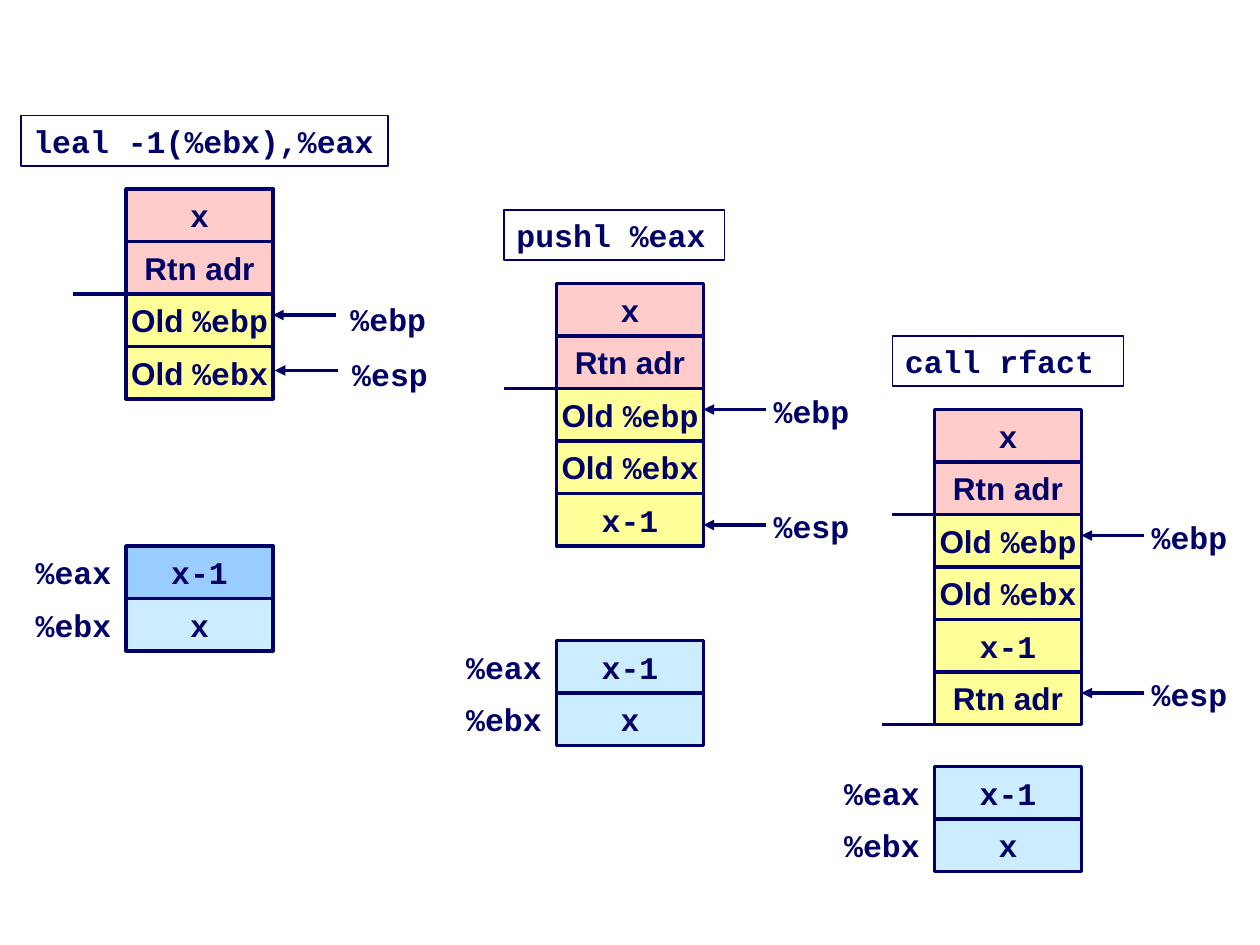
from lxml.etree import SubElement as Sub
from pptx import Presentation
from pptx.dml.color import RGBColor as Rgb
from pptx.enum.shapes import MSO_CONNECTOR as Link, MSO_SHAPE as Form
from pptx.enum.text import MSO_ANCHOR as Anchor, MSO_AUTO_SIZE as Fit, PP_ALIGN as Align
from pptx.oxml.ns import qn
from pptx.util import Pt

NAVY = Rgb(0x00, 0x00, 0x66)
PINK = Rgb(0xFF, 0xCC, 0xCC)
GOLD = Rgb(0xFF, 0xFF, 0x99)
PALE = Rgb(0xCC, 0xEC, 0xFF)
BLUE = Rgb(0x99, 0xCC, 0xFF)
WHITE = Rgb(0xFF, 0xFF, 0xFF)
SANS, MONO = "Arial", "Courier New"
CELL_W, ROW_H, CODE_H = 84, 30, 28.8

ARG = [("x", MONO)]
LESS = [("x-1", MONO)]
RTN = [("Rtn adr", SANS)]
OLD_EBP = [("Old ", SANS), ("%ebp", MONO)]
OLD_EBX = [("Old ", SANS), ("%ebx", MONO)]
BASE = [(ARG, PINK), (RTN, PINK), (OLD_EBP, GOLD), (OLD_EBX, GOLD)]


def write(shape, parts, align):
    para = shape.text_frame.paragraphs[0]
    para.alignment = align
    for text, face in parts:
        run = para.add_run()
        run.text = text
        run.font.name = face
    font = para.font
    font.size, font.bold, font.color.rgb = Pt(18), True, NAVY
    if len(parts) == 1:
        run.font.name = None
        font.name = face


def add_box(slide, box, parts, fill=None, width=0, align=Align.CENTER):
    shape = slide.shapes.add_shape(Form.RECTANGLE, *map(Pt, box))
    shape.shadow.inherit = False
    if fill is None:
        shape.fill.background()
    else:
        shape.fill.solid()
        shape.fill.fore_color.rgb = fill
    if width:
        shape.line.color.rgb = NAVY
        shape.line.width = Pt(width)
    else:
        shape.line.fill.background()
    frame = shape.text_frame
    frame.vertical_anchor = Anchor.MIDDLE
    frame.word_wrap = False
    write(shape, parts, align)
    return shape


def add_line(slide, start, end, y, arrow=False):
    line = slide.shapes.add_connector(Link.STRAIGHT, Pt(start), Pt(y), Pt(end), Pt(y))
    line.line.color.rgb = NAVY
    line.line.width = Pt(2)
    props = line.line._get_or_add_ln()
    if arrow:
        Sub(props, qn("a:tailEnd"), type="triangle")
    Sub(props.getparent(), qn("a:effectLst"))


def add_code(slide, box, text):
    shape = add_box(slide, box, [(text, MONO)], width=1, align=Align.LEFT)
    frame = shape.text_frame
    frame.word_wrap = True
    frame.vertical_anchor = Anchor.TOP
    frame.auto_size = Fit.SHAPE_TO_FIT_TEXT


def add_stack(slide, left, top, cells):
    for row, (parts, fill) in enumerate(cells):
        add_box(slide, (left, top + row * ROW_H, CELL_W, ROW_H), parts, fill, 2)


def add_ptr(slide, tip, y, name, gap):
    add_line(slide, tip + 36, tip, y, arrow=True)
    box = tip + 36 + gap[0], y + gap[1], 57.6, CODE_H
    label = slide.shapes.add_textbox(*map(Pt, box))
    label.text_frame.word_wrap = False
    label.text_frame.auto_size = Fit.SHAPE_TO_FIT_TEXT
    write(label, [(name, MONO)], Align.LEFT)


def add_regs(slide, left, top, fill):
    add_stack(slide, left, top, [(LESS, fill), (ARG, PALE)])
    for row, name in enumerate(("%eax", "%ebx")):
        add_box(slide, (left - 54, top + row * ROW_H, 48, ROW_H), [(name, MONO)], WHITE)


def add_step(slide, left, top, code, cells, ptrs, gap, marks, fill):
    text, inset, width = code
    add_code(slide, (left - inset, top - 42, width, CODE_H), text)
    add_stack(slide, left, top, cells)
    for name, shift, drop in ptrs:
        add_ptr(slide, left + CELL_W + shift, top + drop, name, gap)
    for shift, row in marks:
        start = left - ROW_H + shift
        add_line(slide, start, start + ROW_H, top + row * ROW_H)
    add_regs(slide, left, top + 204, fill)


def main():
    deck = Presentation()
    deck.slide_width, deck.slide_height = Pt(720), Pt(540)
    slide = deck.slides.add_slide(deck.slide_layouts[6])
    ebp = ("%ebp", 0, 72)
    near, wide = (-3, -13.7), (1.2, -12.2)
    add_step(slide, 72, 108, ("leal -1(%ebx),%eax", 60, 210), BASE,
             [ebp, ("%esp", 1, 103.7)], wide, [(0, 2)], BLUE)
    add_step(slide, 318, 162, ("pushl %eax", 30, 126), BASE + [(LESS, GOLD)],
             [ebp, ("%esp", 0, 138)], near, [(0, 2)], PALE)
    add_step(slide, 534, 234, ("call rfact", 24, 132),
             BASE + [(LESS, GOLD), (RTN, GOLD)],
             [ebp, ("%esp", 0, 162)], near, [(6, 2), (0, 6)], PALE)
    deck.save("out.pptx")


if __name__ == "__main__":
    main()
